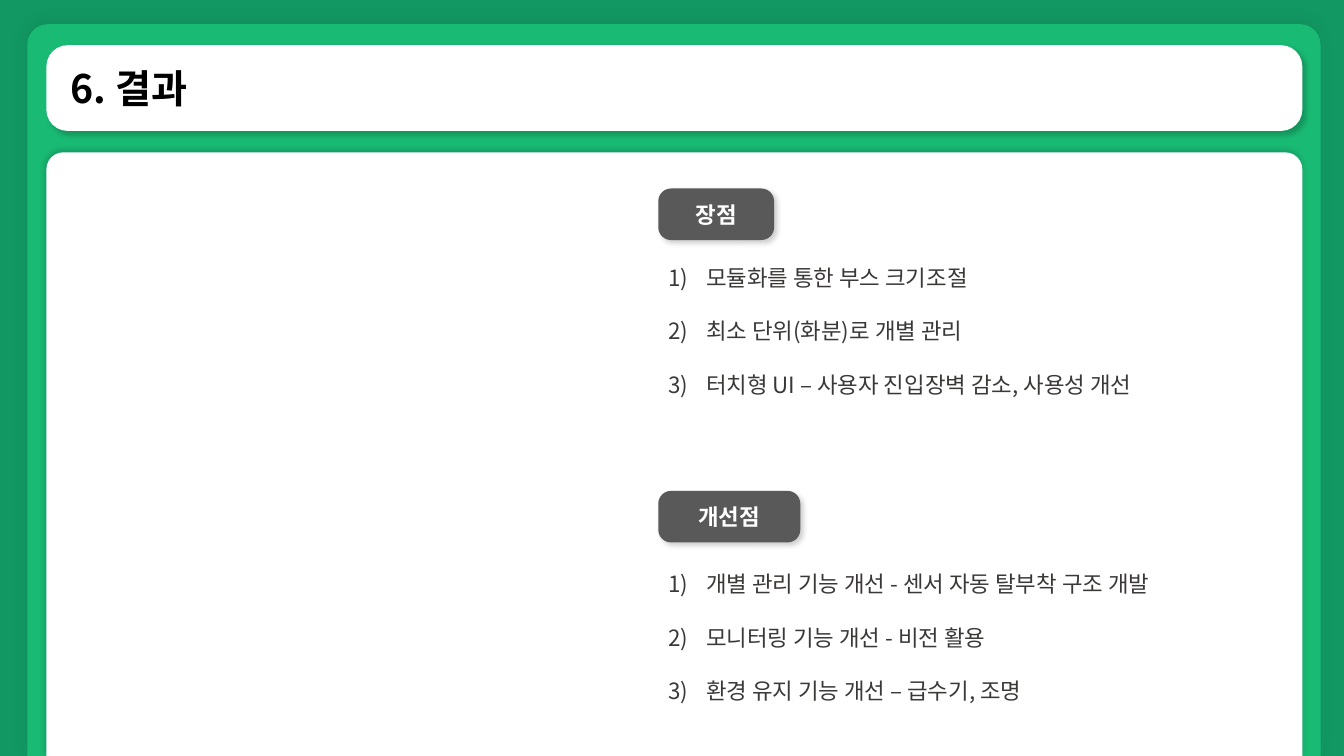
from dataclasses import dataclass

import lxml.etree
import pptx
import pptx.dml.color
import pptx.enum.shapes
import pptx.enum.text
import pptx.oxml.ns
import pptx.presentation
import pptx.shapes.base
import pptx.slide
import pptx.text.text
import pptx.util

Cm = pptx.util.Cm
Pt = pptx.util.Pt
qn = pptx.oxml.ns.qn
Shape = pptx.enum.shapes.MSO_SHAPE
Align = pptx.enum.text.PP_ALIGN
Anchor = pptx.enum.text.MSO_ANCHOR


@dataclass(frozen=True)
class Theme:
    font: str = "Noto Sans CJK KR"
    backdrop: str = "129863"
    panel: str = "19BA74"
    card: str = "FFFFFF"
    badge: str = "595959"
    badge_text: str = "FFFFFF"
    title_text: str = "000000"
    list_text: str = "3B3838"
    shadow: str = "000000"
    title_size: int = 28
    text_size: int = 16


@dataclass(frozen=True)
class Box:
    left: float
    top: float
    width: float
    height: float


@dataclass(frozen=True)
class Shadow:
    opacity: int
    blur: int
    distance: int
    direction: int


@dataclass(frozen=True)
class Card:
    box: Box
    fill: str
    shadow: Shadow
    geometry: pptx.enum.shapes.MSO_SHAPE = Shape.ROUNDED_RECTANGLE
    corners: tuple[float, ...] = (0.248,)


@dataclass(frozen=True)
class Section:
    heading: str
    badge_top: float
    badge_width: float
    list_top: float
    items: tuple[str, ...]


THEME = Theme()
TOP_ROUNDED = {"geometry": Shape.ROUND_2_SAME_RECTANGLE, "corners": (0.028, 0)}
RAISED = Shadow(20, 4, 3, 45)
COLUMN_LEFT = 16.59
TITLE_BOX = Box(1.17, 1.14, 31.65, 2.16)

CARDS = (
    Card(Box(0.69, 0.61, 32.59, 18.44), THEME.panel, Shadow(5, 11, 3, 270), **TOP_ROUNDED),
    Card(TITLE_BOX, THEME.card, RAISED),
    Card(Box(1.17, 3.84, 31.65, 15.21), THEME.card, Shadow(20, 4, 1, 270), **TOP_ROUNDED),
)

SECTIONS = (
    Section("장점", 4.75, 2.92, 5.84, (
        "모듈화를 통한 부스 크기조절",
        "최소 단위(화분)로 개별 관리",
        "터치형 UI – 사용자 진입장벽 감소, 사용성 개선",
    )),
    Section("개선점", 12.37, 3.58, 13.56, (
        "개별 관리 기능 개선 - 센서 자동 탈부착 구조 개발",
        "모니터링 기능 개선 - 비전 활용",
        "환경 유지 기능 개선 – 급수기, 조명",
    )),
)


def rgb(colour: str) -> pptx.dml.color.RGBColor:
    return pptx.dml.color.RGBColor.from_string(colour)


def apply_format(target: object, values: dict[str, object]) -> None:
    for attribute, value in values.items():
        setattr(target, attribute, value)


def add_shadow(shape: pptx.shapes.base.BaseShape, shadow: Shadow) -> None:
    shape.shadow.inherit = False
    effects = shape.element.spPr.find(qn("a:effectLst"))
    outer = lxml.etree.SubElement(
        effects, qn("a:outerShdw"),
        blurRad=str(Pt(shadow.blur)), dist=str(Pt(shadow.distance)),
        dir=str(shadow.direction * 60000), algn="ctr", rotWithShape="0",
    )
    colour = lxml.etree.SubElement(outer, qn("a:srgbClr"), val=THEME.shadow)
    lxml.etree.SubElement(colour, qn("a:alpha"), val=str(shadow.opacity * 1000))


def add_card(slide: pptx.slide.Slide, card: Card) -> pptx.shapes.base.BaseShape:
    box = card.box
    shape = slide.shapes.add_shape(
        card.geometry, Cm(box.left), Cm(box.top), Cm(box.width), Cm(box.height)
    )
    for index, corner in enumerate(card.corners):
        shape.adjustments[index] = corner
    shape.fill.solid()
    shape.fill.fore_color.rgb = rgb(card.fill)
    shape.line.fill.background()
    add_shadow(shape, card.shadow)
    return shape


def write(paragraph: pptx.text.text._Paragraph, text: str, size: int,
          colour: str, bold: bool) -> None:
    run = paragraph.add_run()
    run.text = text
    apply_format(run.font, {"name": THEME.font, "size": Pt(size), "bold": bold})
    run.font.color.rgb = rgb(colour)
    lxml.etree.SubElement(run.font._element, qn("a:ea"), typeface=THEME.font)


def place(slide: pptx.slide.Slide, placeholder: pptx.shapes.base.BaseShape,
          box: Box, anchor: pptx.enum.text.MSO_ANCHOR) -> None:
    apply_format(placeholder, {
        "left": Cm(box.left), "top": Cm(box.top),
        "width": Cm(box.width), "height": Cm(box.height),
    })
    apply_format(placeholder.text_frame, {
        "word_wrap": True, "vertical_anchor": anchor,
        "auto_size": pptx.enum.text.MSO_AUTO_SIZE.NONE,
    })
    slide.shapes.element.append(placeholder.element)


def add_title(slide: pptx.slide.Slide, text: str) -> None:
    title = slide.shapes.title
    place(slide, title, TITLE_BOX, Anchor.MIDDLE)
    title.text_frame.margin_left = Cm(0.61)
    paragraph = title.text_frame.paragraphs[0]
    paragraph.alignment = Align.LEFT
    write(paragraph, text, THEME.title_size, THEME.title_text, True)


def add_badge(slide: pptx.slide.Slide, section: Section) -> None:
    box = Box(COLUMN_LEFT, section.badge_top, section.badge_width, 1.3)
    badge = add_card(slide, Card(box, THEME.badge, RAISED))
    badge.text_frame.vertical_anchor = Anchor.MIDDLE
    paragraph = badge.text_frame.paragraphs[0]
    paragraph.alignment = Align.CENTER
    write(paragraph, section.heading, THEME.text_size, THEME.badge_text, True)


def add_list(slide: pptx.slide.Slide, body: pptx.shapes.base.BaseShape,
             section: Section) -> None:
    place(slide, body, Box(COLUMN_LEFT, section.list_top, 15.7, 4.17), Anchor.TOP)
    frame = body.text_frame
    for index, item in enumerate(section.items):
        paragraph = frame.add_paragraph() if index else frame.paragraphs[0]
        properties = paragraph._p.get_or_add_pPr()
        apply_numbering = {"marL": str(Cm(0.95)), "indent": str(-Cm(0.95))}
        for name, value in apply_numbering.items():
            properties.set(name, value)
        lxml.etree.SubElement(properties, qn("a:buFont"), typeface="+mj-lt")
        lxml.etree.SubElement(properties, qn("a:buAutoNum"), type="arabicParenR")
        apply_format(paragraph, {
            "line_spacing": 2.0, "space_before": Pt(0), "alignment": Align.LEFT,
        })
        write(paragraph, item, THEME.text_size, THEME.list_text, False)


def main() -> None:
    presentation = pptx.Presentation()
    apply_format(presentation, {"slide_width": Cm(33.87), "slide_height": Cm(19.05)})
    slide = presentation.slides.add_slide(
        presentation.slide_layouts.get_by_name("Two Content")
    )
    slide.background.fill.solid()
    slide.background.fill.fore_color.rgb = rgb(THEME.backdrop)
    bodies = list(slide.placeholders)[1:]
    for card in CARDS:
        add_card(slide, card)
    add_title(slide, "6. 결과")
    for section, body in zip(SECTIONS, bodies):
        add_badge(slide, section)
        add_list(slide, body, section)
    presentation.save("out.pptx")


if __name__ == "__main__":
    main()
